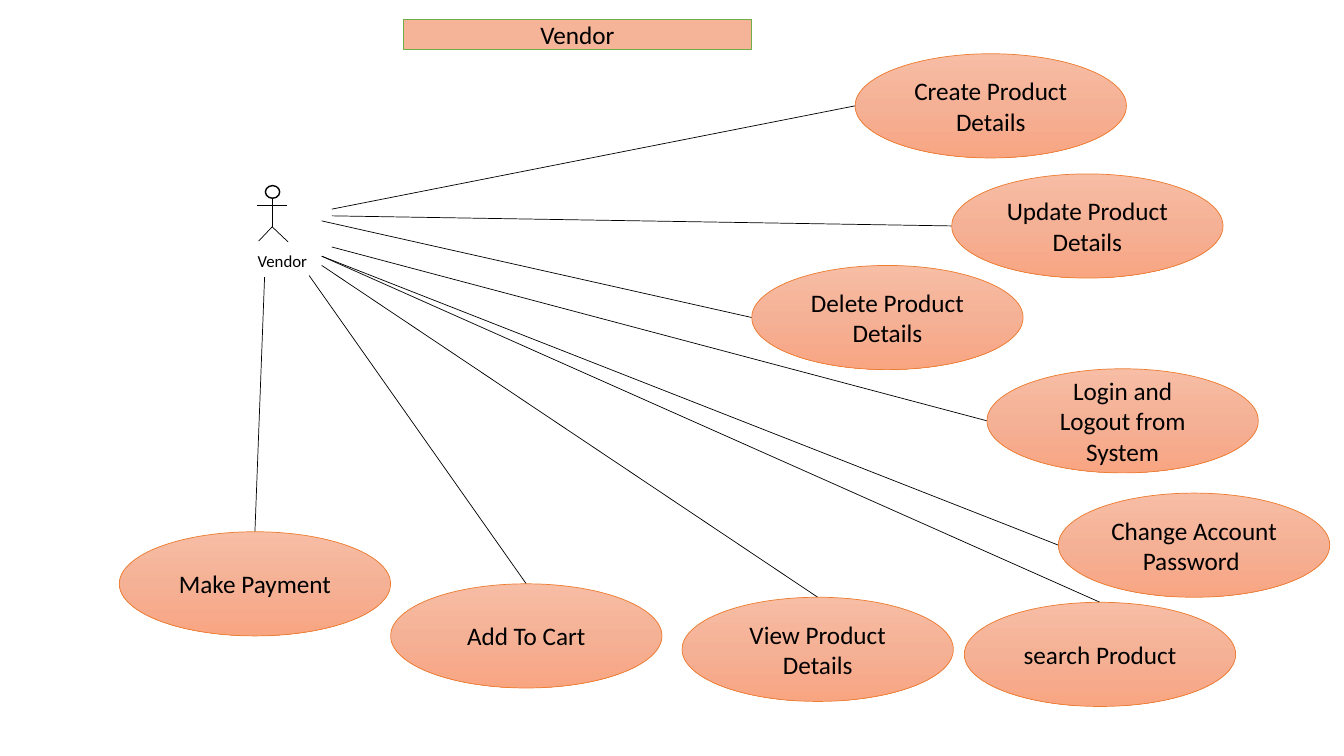
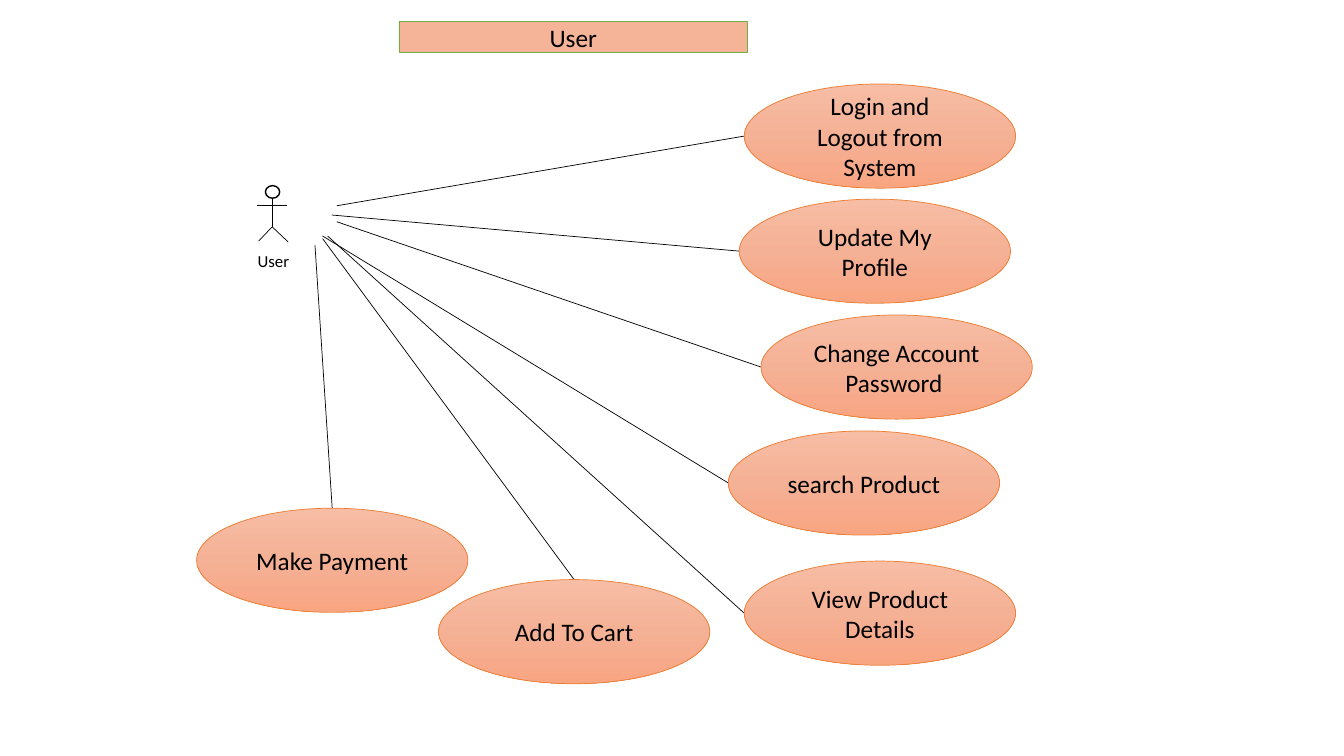
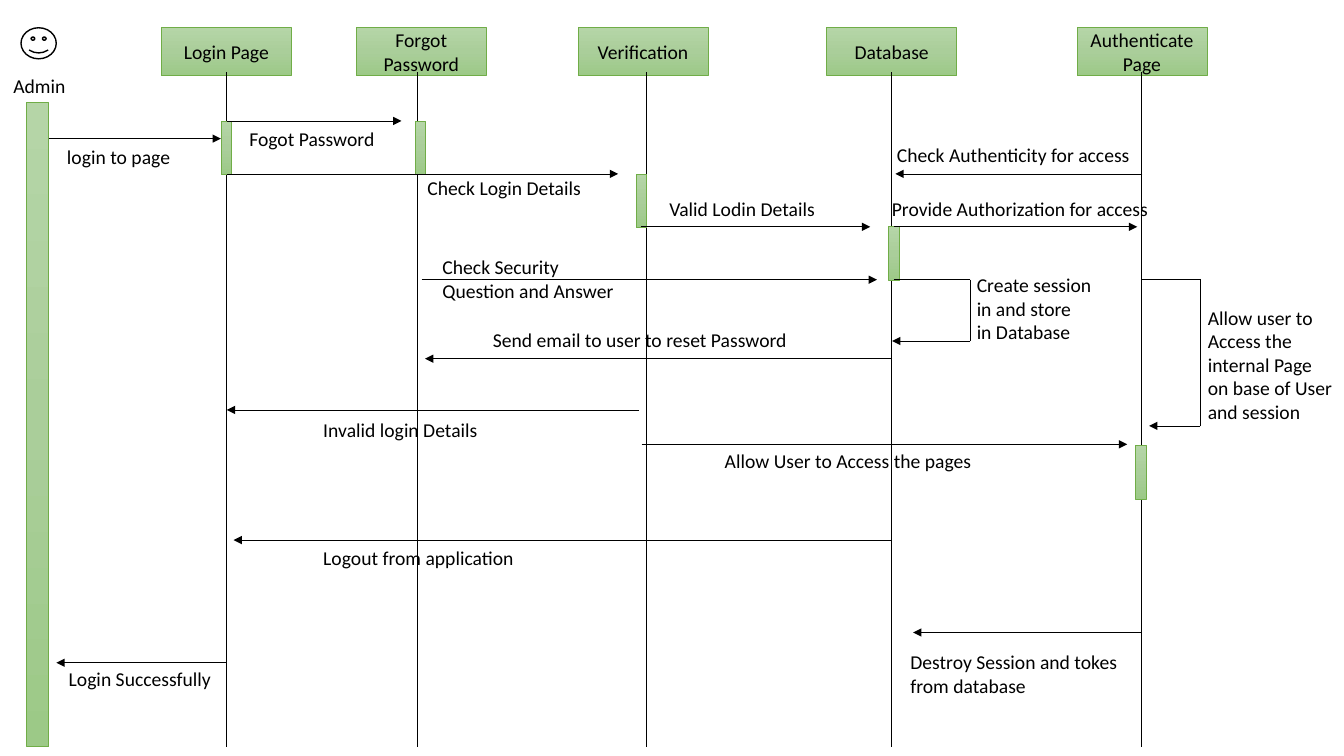
from copy import deepcopy
from dataclasses import dataclass

from lxml import etree
from pptx import Presentation
from pptx.dml.color import RGBColor
from pptx.enum.shapes import MSO_CONNECTOR, MSO_SHAPE
from pptx.enum.text import MSO_ANCHOR, MSO_AUTO_SIZE, PP_ALIGN
from pptx.oxml.ns import qn
from pptx.util import Inches, Pt

STRAIGHT = MSO_CONNECTOR.STRAIGHT
OVAL, RECTANGLE, SMILEY = MSO_SHAPE.OVAL, MSO_SHAPE.RECTANGLE, MSO_SHAPE.SMILEY_FACE
MIDDLE, TOP = MSO_ANCHOR.MIDDLE, MSO_ANCHOR.TOP
CENTER, LEFT = PP_ALIGN.CENTER, PP_ALIGN.LEFT
FIXED, GROW = MSO_AUTO_SIZE.NONE, MSO_AUTO_SIZE.SHAPE_TO_FIT_TEXT

COLUMNS, ROWS = 160, 90
CELL = Inches(1) / 12
TITLE_ONLY, BLANK = 5, 6


@dataclass(frozen=True)
class Theme:
    font: str = "Calibri"
    ink: str = "000000"
    paper: str = "FFFFFF"
    banner: str = "F5B398"
    orange: str = "ED7D31"
    green: str = "70AD47"
    orange_blend: tuple = ("F7BDA5", "F5B196", "F8A582")
    green_blend: tuple = ("B5D5A7", "AACE9A", "9CC987")
    large: int = 18
    medium: int = 14
    small: int = 12
    thin: float = 0.5
    thick: float = 1


THEME = Theme()
CASE_WIDTH, CASE_HEIGHT = 32.3, 12.4
HEAD_WIDTH, HEAD_HEIGHT = 15.5, 5.7
BAR_WIDTH, BAR_HEIGHT = 1.3, 6.4


def cells(*counts):
    """Turn grid counts into lengths."""
    return [round(count * CELL) for count in counts]


def write(frame, text, size=THEME.medium, align=LEFT, anchor=TOP, fit=FIXED):
    frame.word_wrap = True
    frame.auto_size = fit
    frame.vertical_anchor = anchor
    frame.text = text
    for para in frame.paragraphs:
        para.alignment = align
        para.font.name = THEME.font
        para.font.size = Pt(size)
        para.font.color.rgb = RGBColor.from_string(THEME.ink)


def paint(shape, fill, outline, width=THEME.thin):
    """Fill with one colour, or blend a tuple of colours from top to bottom."""
    if isinstance(fill, tuple):
        shape.fill.gradient()
        shape.fill.gradient_angle = 270
        stop_list = shape._element.spPr.find(".//" + qn("a:gsLst"))
        stop_list.insert(1, deepcopy(stop_list[0]))
        for index, (stop, color) in enumerate(zip(shape.fill.gradient_stops, fill)):
            stop.position = index / (len(fill) - 1)
            stop.color.rgb = RGBColor.from_string(color)
    else:
        shape.fill.solid()
        shape.fill.fore_color.rgb = RGBColor.from_string(fill)
    shape.line.color.rgb = RGBColor.from_string(outline)
    shape.line.width = Pt(width)


class Diagram:
    """Hold the deck and the current page; all lengths are grid cells."""

    def __init__(self):
        self.deck = Presentation()
        self.deck.slide_width, self.deck.slide_height = cells(COLUMNS, ROWS)
        self.page = None

    def new_page(self, layout):
        self.page = self.deck.slides.add_slide(self.deck.slide_layouts[layout])

    def banner(self, text, left, top):
        title = self.page.shapes.title
        title.left, title.top, title.width, title.height = cells(left, top, 41.5, 3.6)
        paint(title, THEME.banner, THEME.green)
        write(title.text_frame, text, THEME.large, CENTER, MIDDLE)

    def block(self, kind, at, fill, outline, width=THEME.thin, text="", size=THEME.medium):
        shape = self.page.shapes.add_shape(kind, *cells(*at))
        shape.shadow.inherit = False
        paint(shape, fill, outline, width)
        if text:
            write(shape.text_frame, text, size, CENTER, MIDDLE)

    def label(self, text, left, top, width, size=THEME.medium, height=4):
        box = self.page.shapes.add_textbox(*cells(left, top, width, height))
        write(box.text_frame, text, size, fit=GROW)

    def line(self, start, end, arrow=False):
        connector = self.page.shapes.add_connector(STRAIGHT, *cells(*start, *end))
        connector.line.color.rgb = RGBColor.from_string(THEME.ink)
        connector.line.width = Pt(THEME.thin)
        properties = connector._element.spPr
        if arrow:
            etree.SubElement(properties.find(qn("a:ln")), qn("a:tailEnd"), type="triangle")
        etree.SubElement(properties, qn("a:effectLst"))

    def actor(self, name):
        neck, hip, arms = (32.4, 23.6), (32.4, 27), 24.5
        self.label(name, 29.5, 29.2, 14.6, THEME.small, 3.6)
        self.block(OVAL, (31.6, 22.1, 1.7, 1.5), THEME.paper, THEME.ink, THEME.thick)
        self.line(neck, hip)
        self.line((30.6, arms), (34.2, arms))
        for foot in ((34.3, 28.8), (30.8, 28.7)):
            self.line(hip, foot)

    def use_case(self, text, left, top, start, from_above=False):
        """Draw an oval and the line that reaches its left or top middle."""
        if from_above:
            end = (left + CASE_WIDTH / 2, top)
        else:
            end = (left, top + CASE_HEIGHT / 2)
        self.line(start, end)
        self.block(OVAL, (left, top, CASE_WIDTH, CASE_HEIGHT), THEME.orange_blend,
                   THEME.orange, text=text, size=THEME.large)

    def use_case_page(self, name, banner_at, cases):
        self.new_page(TITLE_ONLY)
        self.banner(name, *banner_at)
        self.actor(name)
        for case in cases:
            self.use_case(*case)

    def green_box(self, left, top, width, height, text=""):
        self.block(RECTANGLE, (left, top, width, height), THEME.green_blend,
                   THEME.green, text=text)

    def lifeline(self, text, left, axis):
        self.green_box(left, 3.3, HEAD_WIDTH, HEAD_HEIGHT, text)
        self.line((axis, 8.6), (axis, 88.9))

    def self_call(self, start, corner, end):
        """Leave a lifeline, turn down at the corner and come back."""
        self.line(start, (corner, start[1]))
        self.line((corner, start[1]), (corner, end[1]))
        self.line((corner, end[1]), end, arrow=True)


# Label, left, top, start of the line, whether the line comes from above
VENDOR_CASES = [
    ("Create Product Details", 101.8, 6.4, (39.5, 24.9)),
    ("Update Product Details", 113.3, 20.7, (39.5, 25.7)),
    ("Delete Product Details", 89.5, 31.6, (38.3, 26.3)),
    ("Login and Logout from System", 117.5, 43.9, (39.5, 29.4)),
    ("Change Account Password ", 126, 58.7, (38.3, 30.5)),
    ("search Product", 114.8, 71.7, (38.3, 30.5), True),
    ("View Product Details", 81.2, 71.1, (38.3, 31.6), True),
    ("Add To Cart", 46.5, 69.5, (36.8, 32.8), True),
    ("Make Payment", 14.2, 63.3, (31.5, 33), True),
]
USER_CASES = [
    ("Login and Logout from System", 88.6, 10, (40.1, 24.5)),
    ("Update My Profile", 88, 23.7, (39.5, 25.6)),
    ("Change Account Password ", 90.6, 37.5, (40.1, 26.4)),
    ("search Product", 86.7, 51.3, (38.4, 28.1)),
    ("View Product Details", 88.6, 66.8, (39, 28.1)),
    ("Add To Cart", 52.2, 69, (38.4, 28.4), True),
    ("Make Payment", 23.4, 60.5, (37.5, 29.2), True),
]
# Label, left of the head, axis of the line
LIFELINES = [
    ("Login Page", 19.2, 26.9),
    ("Forgot Password", 42.4, 49.7),
    ("Verification", 68.8, 77),
    ("Database", 98.4, 106.1),
    ("Authenticate Page", 128.2, 135.9),
]
BARS = [(26.3, 14.4), (49.4, 14.4), (75.7, 20.7), (105.8, 27), (135.2, 53)]
# Row, from column, to column
MESSAGES = [
    (14.4, 27, 47.8), (16.5, 5.8, 26.3), (20.7, 27, 73.6), (20.7, 136, 106.6),
    (27, 76.3, 103.6), (27, 106.4, 135.4), (33.3, 50.2, 104.4), (42.7, 106.2, 50.6),
    (48.8, 76.1, 27), (52.9, 76.4, 134.2), (64.3, 106.2, 27.8), (75.3, 135.8, 108.7),
    (78.9, 26.9, 6.7),
]
# Text, left, top, width
CAPTIONS = [
    ("Admin", 0.4, 8.2, 11),
    ("login to page", 6.8, 16.7, 18.2),
    ("Fogot Password", 28.5, 14.5, 18.2),
    ("Check Login Details", 49.7, 20.4, 23.5),
    ("Check Security Question and Answer", 51.5, 29.8, 23.5),
    ("Send email to user to reset Password", 57.5, 38.5, 39.4),
    ("Valid Lodin Details", 78.5, 22.9, 23.5),
    ("Login Successfully", 7, 78.8, 23.5),
    ("Invalid login Details", 37.3, 49.1, 22.4),
    ("Logout from application", 37.3, 64.4, 25.1),
    ("Allow User to Access the pages", 85.1, 52.9, 39.4),
    ("Destroy Session and tokes from database", 107.2, 76.8, 28.1),
    ("Create session\nin and store\nin Database", 115.1, 31.9, 17.4),
    ("Provide Authorization for access", 105, 22.9, 36.5),
    ("Check Authenticity for access", 105.6, 16.4, 36.5),
    ("Allow user to\nAccess the internal Page\non base of User\nand session",
     142.6, 35.8, 17.4),
]


def sequence_page(diagram):
    diagram.new_page(BLANK)
    diagram.green_box(3.2, 12.2, 2.6, 76.7)
    diagram.block(SMILEY, (2.5, 3.3, 4.2, 3.7), THEME.paper, THEME.ink, THEME.thick)
    for lifeline in LIFELINES:
        diagram.lifeline(*lifeline)
    for left, top in BARS:
        diagram.green_box(left, top, BAR_WIDTH, BAR_HEIGHT)
    for row, start, end in MESSAGES:
        diagram.line((start, row), (end, row), arrow=True)
    diagram.self_call((106.4, 33.3), 115.5, (106.2, 40.6))
    diagram.self_call((136, 33.2), 142.9, (136.8, 50.7))
    for caption in CAPTIONS:
        diagram.label(*caption)


def main():
    diagram = Diagram()
    diagram.use_case_page("Vendor", (48, 2.3), VENDOR_CASES)
    diagram.use_case_page("User", (47.5, 2.6), USER_CASES)
    sequence_page(diagram)
    diagram.deck.save("out.pptx")


if __name__ == "__main__":
    main()
